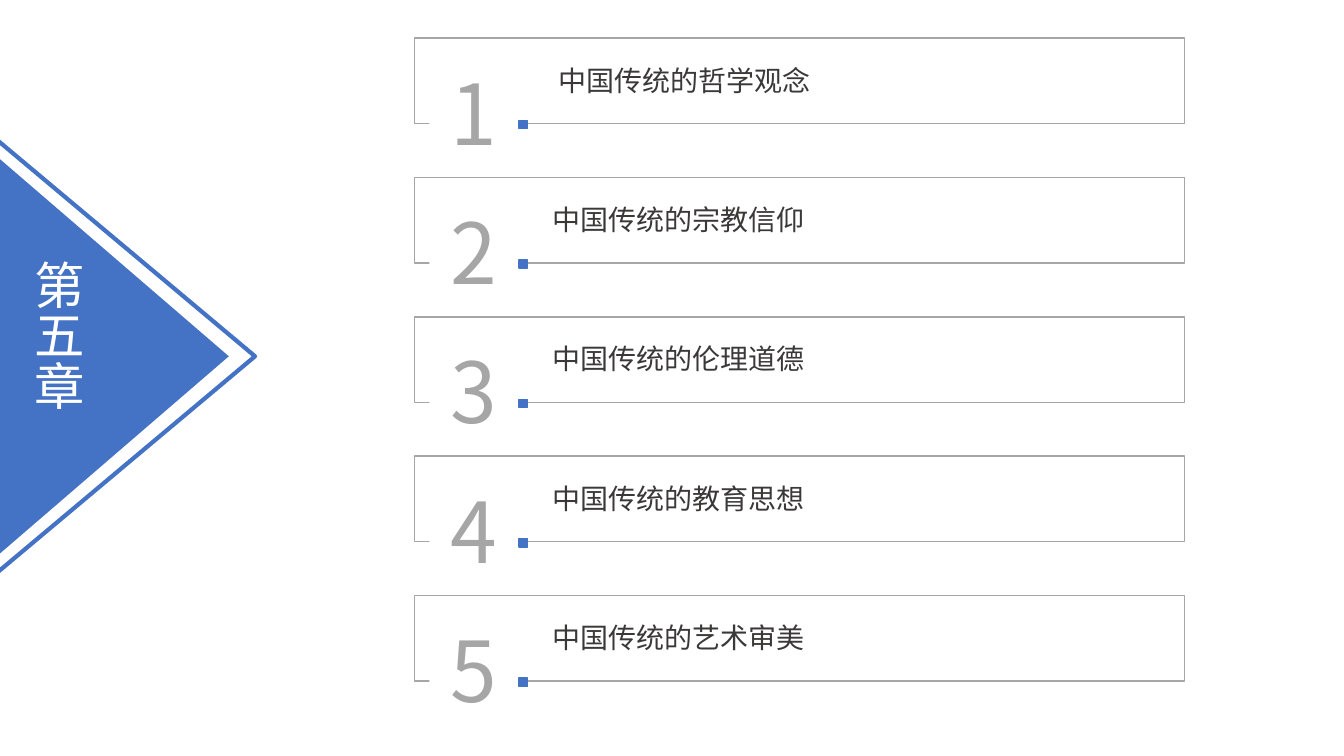
from pptx import Presentation
from pptx.dml.color import RGBColor
from pptx.enum.shapes import MSO_SHAPE
from pptx.enum.text import MSO_ANCHOR, MSO_AUTO_SIZE, PP_ALIGN
from pptx.util import Pt

RECTANGLE = MSO_SHAPE.RECTANGLE
TRIANGLE = MSO_SHAPE.ISOSCELES_TRIANGLE
TOP, MIDDLE = MSO_ANCHOR.TOP, MSO_ANCHOR.MIDDLE
LEFT, CENTER = PP_ALIGN.LEFT, PP_ALIGN.CENTER
NO_AUTOFIT = MSO_AUTO_SIZE.NONE

FONT = "Noto Sans CJK SC"
BLUE = RGBColor(0x44, 0x72, 0xC4)
GRAY = RGBColor(0xA6, 0xA6, 0xA6)
DARK = RGBColor(0x3B, 0x38, 0x38)
WHITE = RGBColor(0xFF, 0xFF, 0xFF)

TOPICS = [
    " 中国传统的哲学观念",
    "中国传统的宗教信仰",
    "中国传统的伦理道德",
    "中国传统的教育思想",
    "中国传统的艺术审美",
]
FIRST_TOP = 27.2
ROW_PITCH = 99.54


def add_box(shapes, kind, left, top, width, height, fill=None, line=None, line_width=1):
    shape = shapes.add_shape(kind, Pt(left), Pt(top), Pt(width), Pt(height))
    shape.shadow.inherit = False
    if fill is None:
        shape.fill.background()
    else:
        shape.fill.solid()
        shape.fill.fore_color.rgb = fill
    if line is None:
        shape.line.fill.background()
    else:
        shape.line.color.rgb = line
        shape.line.width = Pt(line_width)
    return shape


def write_text(shape, text, size, color, align=LEFT, anchor=TOP):
    frame = shape.text_frame
    frame.word_wrap = True
    frame.auto_size = NO_AUTOFIT
    frame.vertical_anchor = anchor
    paragraph = frame.paragraphs[0]
    paragraph.alignment = align
    run = paragraph.add_run()
    run.text = text
    run.font.size = Pt(size)
    run.font.color.rgb = color
    run.font.name = FONT
    east_asian = run.font._element.makeelement(
        "{http://schemas.openxmlformats.org/drawingml/2006/main}ea", {"typeface": FONT})
    run.font._element.find("{*}latin").addnext(east_asian)


presentation = Presentation()
presentation.slide_width = Pt(960)
presentation.slide_height = Pt(540)
slide = presentation.slides.add_slide(presentation.slide_layouts[5])

# Chapter arrow: a solid triangle inside an outlined one
arrow = add_box(slide.shapes, TRIANGLE, -59, 172.8, 281.5, 163.4, fill=BLUE)
arrow_outline = add_box(slide.shapes, TRIANGLE, -65.5, 162, 310.3, 185, line=BLUE, line_width=3)
for triangle in (arrow, arrow_outline):
    triangle.rotation = 90

# Vertical chapter title, in front of the arrow
title = slide.shapes.title
title.left, title.top, title.width, title.height = Pt(12.2), Pt(182.2), Pt(58.3), Pt(144.7)
write_text(title, "第五章", 36, WHITE, align=CENTER)
title.text_frame._txBody.bodyPr.set("vert", "eaVert")
slide.shapes._spTree.append(title._element)

# Numbered topics
for number, topic in enumerate(TOPICS, start=1):
    top = FIRST_TOP + (number - 1) * ROW_PITCH
    row = slide.shapes.add_group_shape()
    row.name = f"Topic {number}"
    add_box(row.shapes, RECTANGLE, 295.9, top, 550, 61.2, line=GRAY)
    number_box = add_box(row.shapes, RECTANGLE, 306.7, top + 12.5, 63.4, 79.9, fill=WHITE)
    write_text(number_box, str(number), 60, GRAY, align=CENTER, anchor=MIDDLE)
    add_box(row.shapes, RECTANGLE, 370.8, top + 59, 5.8, 5.8, fill=BLUE, line=BLUE)
    topic_box = row.shapes.add_textbox(Pt(387.4), Pt(top + 14.4), Pt(201.6), Pt(31.7))
    write_text(topic_box, topic, 20, DARK)

presentation.save("out.pptx")
